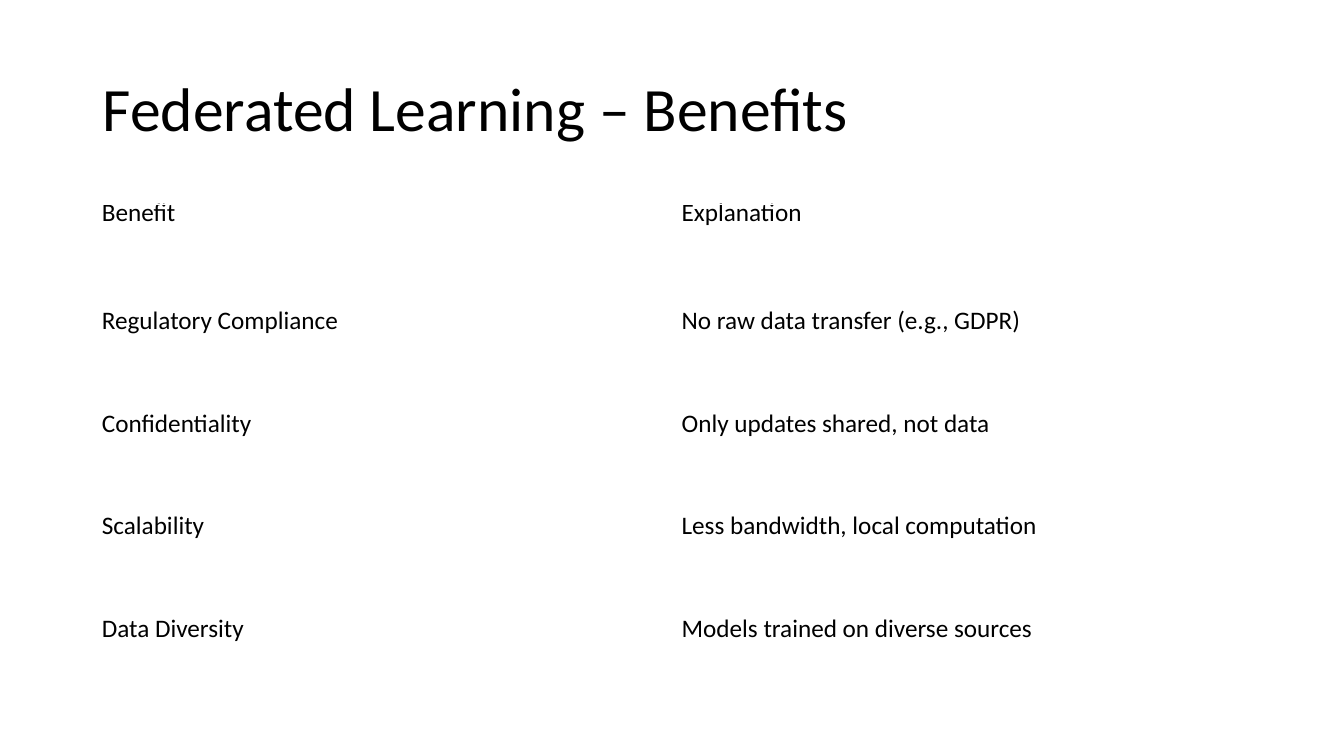
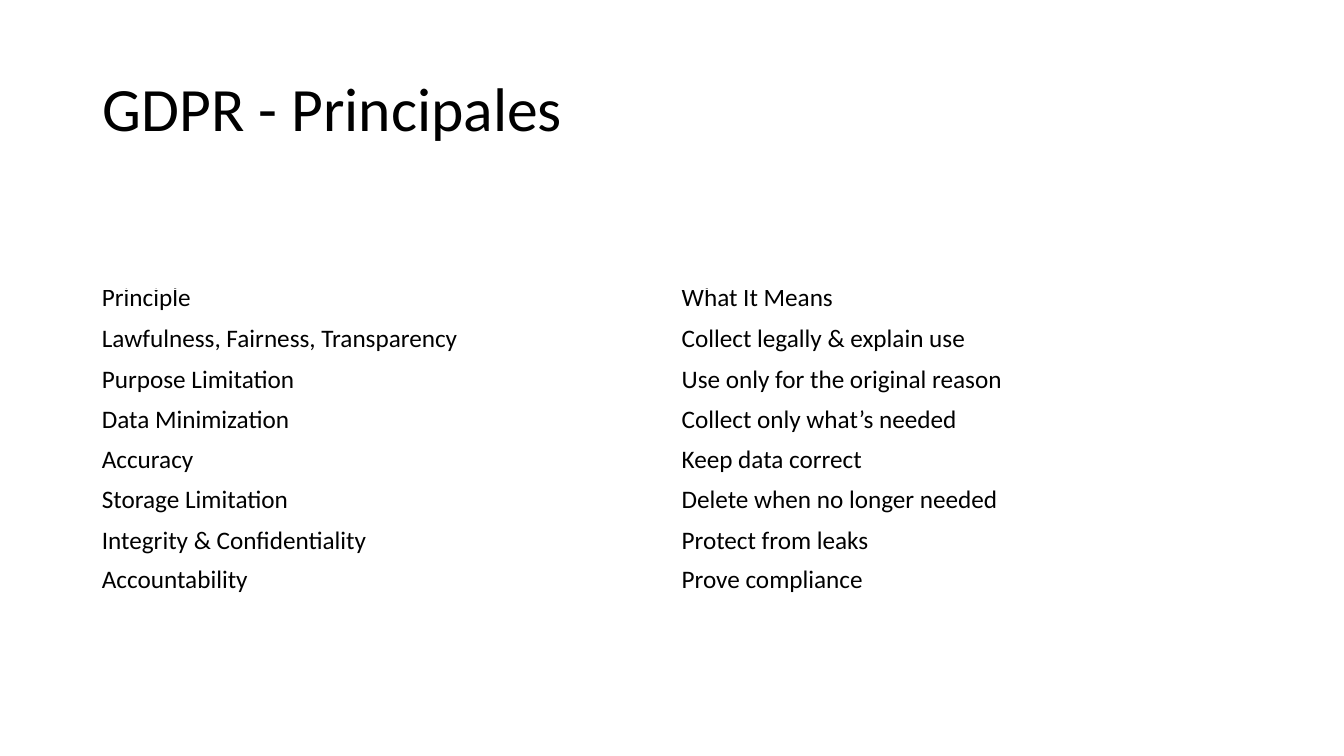
"""Build two slides, each with a title and a plain two-column table."""
from pptx import Presentation
from pptx.dml.color import RGBColor
from pptx.enum.text import MSO_ANCHOR
from pptx.util import Inches, Pt

BLACK = RGBColor(0x00, 0x00, 0x00)
TOP = MSO_ANCHOR.TOP
WIDE, HIGH = Inches(13.33), Inches(7.5)
COL, ROW = WIDE / 100, HIGH / 100
LEFT, SPLIT = 7.35, 50.72
PAD = 0.23
HEAD = {"name": "Calibri", "size": Pt(44), "bold": False}
BODY = {"name": "Calibri", "size": Pt(18), "bold": False}

PAGES = [
    {
        "title": "Federated Learning – Benefits",
        "top": 27.07,
        "cols": [30.61, 39.46],
        "rows": [8.4, 13.6, 8.4],
        "drop": 4.93,
        "cells": [
            ("Benefit", "Explanation"),
            ("Regulatory Compliance", "No raw data transfer (e.g., GDPR)"),
            ("Confidentiality", "Only updates shared, not data"),
            ("Scalability", "Less bandwidth, local computation"),
            ("Data Diversity", "Models trained on diverse sources"),
        ],
    },
    {
        "title": "GDPR - Principales",
        "top": 38.27,
        "cols": [35.03, 32.48],
        "rows": [4.27, 5.33, 4.4],
        "drop": 0.3,
        "cells": [
            ("Principle", "What It Means"),
            ("Lawfulness, Fairness, Transparency", "Collect legally & explain use"),
            ("Purpose Limitation", "Use only for the original reason"),
            ("Data Minimization", "Collect only what’s needed"),
            ("Accuracy", "Keep data correct"),
            ("Storage Limitation", "Delete when no longer needed"),
            ("Integrity & Confidentiality", "Protect from leaks"),
            ("Accountability", "Prove compliance"),
        ],
    },
]


def put(obj, values):
    for key, value in values.items():
        setattr(obj, key, value)


def write(frame, text, font, lead=None):
    line = frame.paragraphs[0]
    line.line_spacing = lead
    run = line.add_run()
    run.text = text
    put(run.font, font)
    run.font.color.rgb = BLACK


deck = Presentation()
put(deck, {"slide_width": WIDE, "slide_height": HIGH})

for page in PAGES:
    slide = deck.slides.add_slide(deck.slide_layouts[6])

    box = slide.shapes.add_textbox(
        int(2.1 * COL), int(3.73 * ROW), int(88 * COL), int(19.73 * ROW))
    put(box.text_frame, {
        "word_wrap": True, "vertical_anchor": TOP,
        "margin_left": int(5.55 * COL), "margin_top": int(5.5 * ROW),
        "margin_right": 0, "margin_bottom": 0})
    write(box.text_frame, page["title"], HEAD)

    cells, cols = page["cells"], page["cols"]
    first, mid, last = page["rows"]
    rows = [first] + [mid] * (len(cells) - 2) + [last]
    leads = [Pt(17.1)] + [None] * (len(cells) - 2) + [Pt(21.5)]
    drops = [0] + [page["drop"]] * (len(cells) - 1)
    pads = [PAD, SPLIT - LEFT - cols[0]]

    grid = slide.shapes.add_table(
        len(rows), len(cols), int(LEFT * COL), int(page["top"] * ROW),
        int(sum(cols) * COL), int(sum(rows) * ROW)).table
    put(grid, {"first_row": False, "horz_banding": False})
    for col, wide in zip(grid.columns, cols):
        col.width = int(wide * COL)

    for row, tall, lead, drop, texts in zip(grid.rows, rows, leads, drops, cells):
        row.height = int(tall * ROW)
        for cell, pad, text in zip(row.cells, pads, texts):
            put(cell, {
                "vertical_anchor": TOP,
                "margin_left": int(pad * COL), "margin_top": int(drop * ROW),
                "margin_right": 0, "margin_bottom": 0})
            cell.fill.background()
            write(cell.text_frame, text, BODY, lead)

deck.save("out.pptx")
